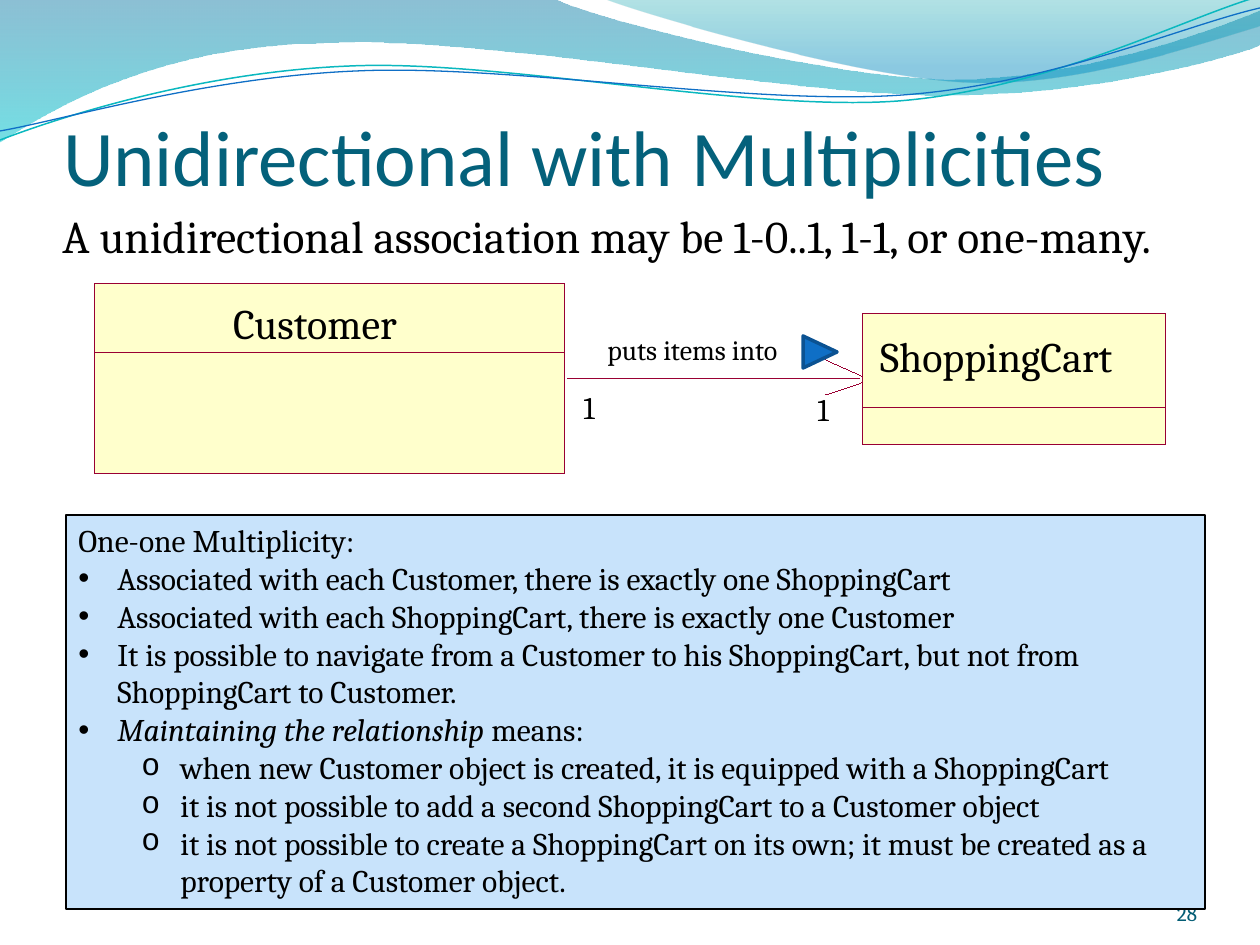
from lxml.etree import SubElement
from pptx import Presentation
from pptx.dml.color import RGBColor
from pptx.enum.shapes import MSO_CONNECTOR, MSO_SHAPE
from pptx.enum.text import MSO_ANCHOR as ANCHOR, MSO_AUTO_SIZE as AUTO, PP_ALIGN as ALIGN
from pptx.oxml import parse_xml
from pptx.oxml.ns import nsdecls, qn
from pptx.util import Emu, Pt

COLORS = {
    "title": "04617B", "number": "045D75", "text": "000000", "uml_fill": "FFFFCC",
    "uml_line": "990033", "note": "C8E3FB", "blue": "0F6FC6", "dark_blue": "0B5292",
    "teal": "0AB8BF",
}
BANDS = [
    ([(0, 0), (554, -1),
      [(600, 21), (837, 79), (955, 79)], [(1074, 79), (1207, 33), (1260, 11)], (1261, 45),
      [(1239, 55), (1096, 96), (940, 95)], [(784, 95), (481, 35), (324, 43)],
      [(163, 45), (58, 105), (-1, 142)], (0, 0)],
     [(0, "0074A1", 45), (100, "00C6CF", 55)]),
    ([(604, -1), [(641, 14), (859, 78), (969, 82)],
      [(1079, 87), (1211, 40), (1260, 26)], (1260, 0), (604, -1)],
     [(0, "00A1A9", 30), (80, "008BBF", 45)]),
]
WAVES = [
    ([(0, 140), [(60, 117), (199, 72), (349, 66)], [(498, 59), (747, 112), (898, 101)],
      [(1049, 89), (1182, 19), (1257, -3)]], "teal", 0.85),
    ([(0, 131), [(59, 121), (207, 77), (357, 71)], [(508, 64), (752, 106), (903, 95)],
      [(1053, 84), (1182, 26), (1260, 8)]], "blue", 0.75),
]
MARKS = [("•", "Arial"), ("o", "Courier New")]
BULLETS = [
    (0, ["Associated with each Customer, there is exactly one ShoppingCart"]),
    (0, ["Associated with each ShoppingCart, there is exactly one Customer"]),
    (0, ["It is possible to navigate from a Customer to his ShoppingCart, "
         "but not from ShoppingCart to Customer."]),
    (0, ["Maintaining the relationship ", "means:"]),
    (1, ["when new Customer object is created, it is equipped with a ShoppingCart"]),
    (1, ["it is not possible to add a second ShoppingCart to a Customer object"]),
    (1, ["it is not possible to create a ShoppingCart on its own; "
         "it must be created as a property of a Customer object."]),
]


def px(n):
    """Convert pixels to EMU."""
    return Emu(round(n * 914400 / 126))


def rgb(name):
    """Look up a named colour."""
    return RGBColor.from_string(COLORS[name])


def set_font(p, size, color="text", name="Cambria"):
    """Format a whole paragraph."""
    p.font.size, p.font.name = Pt(size), name
    p.font.color.rgb = rgb(color)


def set_line(s, color, width):
    """Give an outline a colour and a width in points, where 0 is a hairline."""
    s.line.color.rgb = rgb(color)
    s._element.spPr.find(qn("a:ln")).set("w", str(Pt(width)))


def add_path(slide, path, close):
    """Draw an outline of corners and cubic curves, without fill."""
    ends = [part if isinstance(part, tuple) else part[-1] for part in path]
    first, *rest = [(px(x), px(y)) for x, y in ends]
    builder = slide.shapes.build_freeform(*first, scale=1.0)
    builder.add_line_segments(rest, close=close)
    s = builder.convert_to_shape()
    segments = list(s._element.iter(qn("a:lnTo")))
    for segment, part in zip(segments, path[1:]):
        if isinstance(part, list):
            curve = parse_xml(f'<a:cubicBezTo {nsdecls("a")}/>')
            for x, y in part:
                SubElement(curve, qn("a:pt"), x=str(px(x) - s.left), y=str(px(y) - s.top))
            segment.getparent().replace(segment, curve)
    s.shadow.inherit = False
    s.fill.background()
    return s


def add_band(slide, path, stops):
    """Draw a translucent band with a vertical gradient."""
    s = add_path(slide, path, True)
    s.line.fill.background()
    gs = "".join(f'<a:gs pos="{pos * 1000}"><a:srgbClr val="{color}">'
                 f'<a:alpha val="{alpha * 1000}"/></a:srgbClr></a:gs>'
                 for pos, color, alpha in stops)
    grad = parse_xml(f'<a:gradFill {nsdecls("a")}><a:gsLst>{gs}</a:gsLst>'
                     '<a:lin ang="5400000" scaled="0"/></a:gradFill>')
    sp_pr = s._element.spPr
    sp_pr.replace(sp_pr.find(qn("a:noFill")), grad)


def add_shape(slide, kind, box, fill, line, width=0):
    """Draw a preset shape, with no fill if none is named."""
    s = slide.shapes.add_shape(kind, *map(px, box))
    s.shadow.inherit = False
    if fill:
        s.fill.solid()
        s.fill.fore_color.rgb = rgb(fill)
    else:
        s.fill.background()
    set_line(s, line, width)
    return s


def add_line(slide, *ends):
    """Draw a thin association line."""
    s = slide.shapes.add_connector(MSO_CONNECTOR.STRAIGHT, *map(px, ends))
    set_line(s, "uml_line", 0)
    SubElement(s._element.spPr, qn("a:effectLst"))


def add_text(slide, text, box, size, wrap=True, inset=True, color="text"):
    """Add a one-paragraph text box."""
    tf = slide.shapes.add_textbox(*map(px, box)).text_frame
    tf.word_wrap = wrap
    if not inset:
        tf.margin_left = tf.margin_top = tf.margin_right = tf.margin_bottom = 0
    p = tf.paragraphs[0]
    p.text = text
    set_font(p, size, color)
    return tf


def add_class(slide, name, box, divider, name_box):
    """Draw a UML class with its name above a divider."""
    x, y, w, h = box
    add_shape(slide, MSO_SHAPE.RECTANGLE, box, "uml_fill", "uml_line")
    tf = add_text(slide, name, name_box, 24, wrap=False, inset=False)
    tf.auto_size = AUTO.SHAPE_TO_FIT_TEXT
    add_shape(slide, MSO_SHAPE.RECTANGLE, (x, divider, w, y + h - divider), None, "uml_line")


def add_bullet(tf, level, texts):
    """Add a bulleted paragraph; the first of two runs is italic."""
    p = tf.add_paragraph()
    p.level, p.alignment = level, ALIGN.LEFT
    p_pr = p._p.get_or_add_pPr()
    p_pr.set("marL", str(px(39 + 63 * level)))
    p_pr.set("indent", str(px(-39)))
    mark, face = MARKS[level]
    SubElement(p_pr, qn("a:buFont"), typeface=face)
    SubElement(p_pr, qn("a:buChar"), char=mark)
    set_font(p, 18)
    for text in texts:
        p.add_run().text = text
    if len(texts) > 1:
        p.runs[0].font.italic = True


def add_title(slide, text):
    """Place and format the title."""
    s = slide.shapes.title
    s.left, s.top, s.width, s.height = map(px, (63, 95, 1134, 107))
    tf = s.text_frame
    tf.text = text
    tf.auto_size, tf.vertical_anchor = AUTO.NONE, ANCHOR.BOTTOM
    tf.margin_left = tf.margin_right = tf.margin_bottom = 0
    tf.paragraphs[0].alignment = ALIGN.LEFT
    set_font(tf.paragraphs[0], 45, "title", "Calibri")


def add_note(slide):
    """Add the explanation box."""
    s = add_shape(slide, MSO_SHAPE.RECTANGLE, (66, 515, 1139, 394), "note", "text", 0.75)
    tf = s.text_frame
    tf.word_wrap, tf.vertical_anchor = True, ANCHOR.TOP
    p = tf.paragraphs[0]
    p.text, p.alignment = "One-one Multiplicity:", ALIGN.LEFT
    set_font(p, 18)
    for level, texts in BULLETS:
        add_bullet(tf, level, texts)


def main():
    """Build the slide."""
    prs = Presentation()
    prs.slide_width, prs.slide_height = px(1260), px(945)
    slide = prs.slides.add_slide(prs.slide_layouts[5])
    for path, stops in BANDS:
        add_band(slide, path, stops)
    for path, color, width in WAVES:
        set_line(add_path(slide, path, False), color, width)
    add_title(slide, "Unidirectional with Multiplicities")
    add_text(slide, "A unidirectional association may be 1-0..1, 1-1, or one-many.",
             (50, 202, 1210, 605), 26)
    number = add_text(slide, "28", (1092, 876, 105, 50), 12, inset=False, color="number")
    number.vertical_anchor = ANCHOR.BOTTOM
    number.paragraphs[0].alignment = ALIGN.RIGHT
    add_line(slide, 864, 382, 826, 395)
    add_line(slide, 864, 377, 826, 360)
    add_class(slide, "Customer", (94, 284, 471, 190), 352, (233, 298, 195, 50))
    add_class(slide, "ShoppingCart", (863, 313, 303, 132), 408, (880, 331, 272, 50))
    add_line(slide, 567, 379, 860, 379)
    label = add_text(slide, "puts items into", (595, 326, 208, 47), 16, wrap=False)
    label.auto_size = AUTO.SHAPE_TO_FIT_TEXT
    arrow = add_shape(slide, MSO_SHAPE.ISOSCELES_TRIANGLE, (804, 335, 32, 34),
                      "blue", "dark_blue", 2)
    arrow.rotation = 90
    for x, y in ((571, 382), (805, 384)):
        add_text(slide, "1", (x, y, 46, 50), 18)
    add_note(slide)
    prs.save("out.pptx")


if __name__ == "__main__":
    main()
